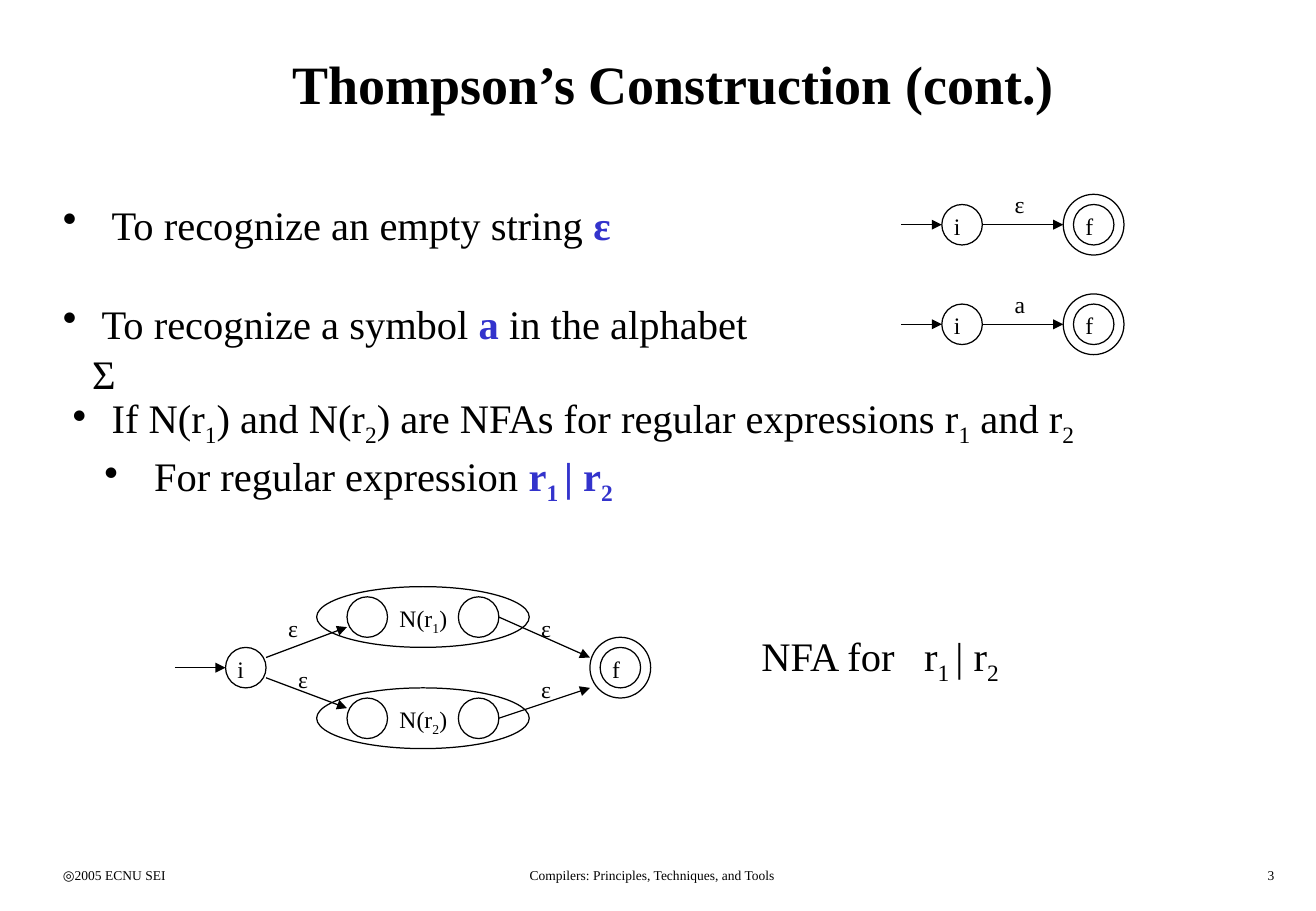
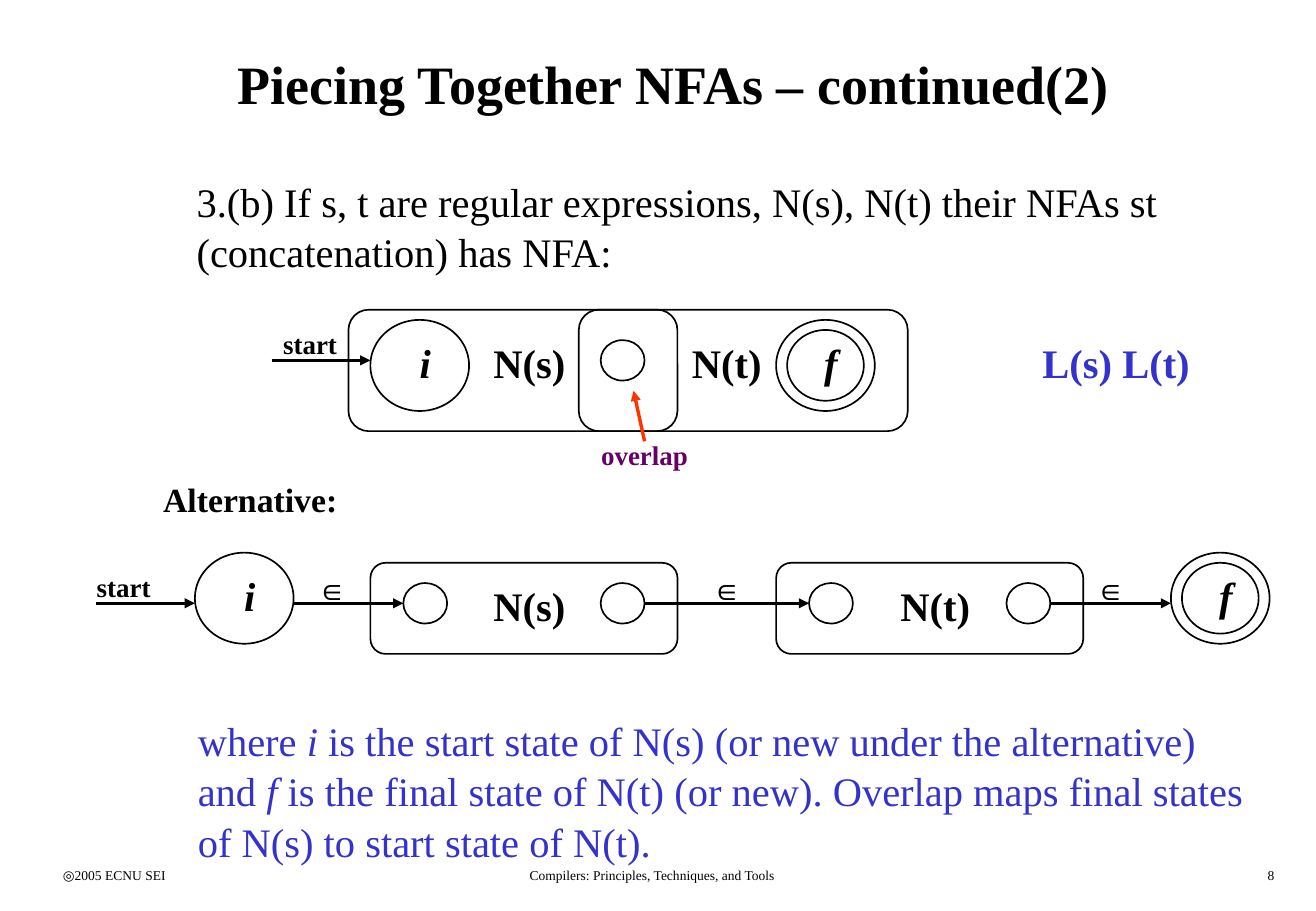
from dataclasses import dataclass

from lxml import etree
from pptx import Presentation
from pptx import util as u
from pptx.dml.color import RGBColor
from pptx.enum import shapes, text
from pptx.oxml import ns

BLACK = RGBColor(0, 0, 0)
BLUE = RGBColor(0x33, 0x33, 0xCC)
RED = RGBColor(0xFF, 0x33, 0x00)
PURPLE = RGBColor(0x66, 0x00, 0x66)
FONT = "Times New Roman"
LEFT, CENTER, RIGHT = text.PP_ALIGN.LEFT, text.PP_ALIGN.CENTER, text.PP_ALIGN.RIGHT
OVAL = shapes.MSO_SHAPE.OVAL
ROUNDED = shapes.MSO_SHAPE.ROUNDED_RECTANGLE
WIDTH, HEIGHT = 130 / 12, 7.5

FOOTER = [
    ((0.42, 7.08, 2.26, 0.25), "◎2005 ECNU SEI", LEFT),
    ((3.34, 7.08, 4.06, 0.25), "Compilers: Principles, Techniques, and Tools", CENTER),
]
NUMBER_BOX = (8.33, 7.08, 2.26, 0.25)
TITLE_BOX = (0.42, 0.17, 10.25, 1)

UNION = [("r", ""), ("1 ", "_"), ("| r", ""), ("2", "_")]
BASIC_RULES = [
    [("To recognize an empty string ", ""), ("ε", "bk")],
    [(" To recognize a symbol", ""), (" a", "bk"), (" in the alphabet Σ", "")],
]
UNION_RULES = [
    [("If N(r", ""), ("1", "_"), (") and N(r", ""), ("2", "_"),
     (") are NFAs for regular expressions r", ""), ("1", "_"), (" and r", ""), ("2", "_")],
    [("For regular expression ", "")] + [(part, style + "bk") for part, style in UNION],
]
BASIC_NFAS = [("ε", 1.6), ("a", 2.42)]
UNION_ARROWS = [
    ((0, 8), (5, 8)), ((9, 7), (17, 4)), ((9, 9), (17, 12)),
    ((32, 3), (41, 7)), ((32, 13), (41, 10)),
]
UNION_EPSILONS = [(10, 2), (35, 2), (35, 8), (11, 7)]

CONCAT_RULE = ("3.(b) If s, t are regular expressions, N(s), N(t) their NFAs st "
               "(concatenation) has NFA:")
CONCAT_NOTE = [[
    ("where ", ""), ("i", "i"),
    (" is the start state of N(s) (or new under the alternative) and ", ""), ("f", "i"),
    (" is the final state of N(t) (or new). Overlap maps final states of N(s) "
     "to start state of N(t).", ""),
]]
OVERLAP_PARTS = [("N(s)", 31, 42), ("N(t)", 52, 60)]
CHAIN_PARTS = [("N(s)", 33), ("N(t)", 70)]
CHAIN_ARROWS = [(8, 17), (26, 36), (58, 73), (95, 106)]
CHAIN_EPSILONS = [26, 62, 97]


@dataclass
class Grid:
    left: float
    top: float
    column: float = WIDTH / 130
    row: float = HEIGHT / 90

    def point(self, x, y):
        return self.left + x * self.column, self.top + y * self.row

    def box(self, x, y, width, height):
        return (*self.point(x, y), width * self.column, height * self.row)


def inches(values):
    return [u.Inches(value) for value in values]


def write(page, box, content, size=24, color=BLACK, style="", align=LEFT,
          anchor=text.MSO_ANCHOR.TOP, indents=(), gap=0, tab=None):
    frame = page.shapes.add_textbox(*inches(box)).text_frame
    frame.word_wrap = True
    frame.vertical_anchor = anchor
    paragraphs = [[(content, "")]] if isinstance(content, str) else content
    for index, spans in enumerate(paragraphs):
        para = frame.paragraphs[0] if index == 0 else frame.add_paragraph()
        properties = para._p.get_or_add_pPr()
        if indents:
            margin, hanging = indents[index]
            properties.set("marL", str(u.Inches(margin)))
            properties.set("indent", str(-u.Inches(hanging)))
            etree.SubElement(properties, ns.qn("a:buChar"), char="•")
        if tab:
            stops = etree.SubElement(properties, ns.qn("a:tabLst"))
            etree.SubElement(stops, ns.qn("a:tab"), pos=str(u.Inches(tab)), algn="l")
        para.alignment = align
        para.line_spacing = 1.04
        if index and gap:
            para.space_before = u.Pt(gap)
        for words, own_style in spans:
            flags = style + own_style
            span = para.add_run()
            span.text = words
            font = span.font
            font.name, font.size = FONT, u.Pt(size)
            font.bold, font.italic = "b" in flags, "i" in flags
            font.color.rgb = BLUE if "k" in flags else color
            if "_" in flags:
                span._r.get_or_add_rPr().set("baseline", "-25000")


def outline(page, box, kind=OVAL, weight=0.75):
    shape = page.shapes.add_shape(kind, *inches(box))
    shape.shadow.inherit = False
    shape.fill.background()
    shape.line.color.rgb = BLACK
    shape.line.width = u.Pt(weight)


def arrow(page, start, end, weight=0.75, color=BLACK):
    line = page.shapes.add_connector(
        shapes.MSO_CONNECTOR.STRAIGHT, *inches(start), *inches(end))
    line.line.color.rgb = color
    line.line.width = u.Pt(weight)
    etree.SubElement(line.line._get_or_add_ln(), ns.qn("a:tailEnd"), type="triangle")
    etree.SubElement(line._element.spPr, ns.qn("a:effectLst"))


def add_page(deck, title, number):
    page = deck.slides.add_slide(deck.slide_layouts[6])
    for box, words, align in FOOTER + [(NUMBER_BOX, number, RIGHT)]:
        write(page, box, words, size=8, align=align)
    write(page, TITLE_BOX, title, size=32, style="b", align=CENTER,
          anchor=text.MSO_ANCHOR.MIDDLE)
    return page


def small_state(page, grid, x, y, name="", final=False):
    outline(page, grid.box(x, y, 4, 4))
    if final:
        outline(page, grid.box(x - 1, y - 1, 6, 6))
    if name:
        write(page, grid.box(x, y, 4, 4), name, size=14)


def large_state(page, grid, x, y, name, final=False):
    outline(page, grid.box(x, y, 9, 9), weight=1)
    if final:
        outline(page, grid.box(x + 1, y + 1, 7, 7), weight=1)
    write(page, grid.box(x + 2, y + 1, 6, 6), name, style="bi", align=CENTER)


def build_thompson(deck):
    page = add_page(deck, "Thompson’s Construction (cont.)", "3")
    write(page, (0.42, 1.58, 6.02, 1.7), BASIC_RULES,
          indents=[(0.4, 0.4), (0.24, 0.24)], gap=28.8)
    write(page, (0.5, 3.17, 8.49, 0.9), UNION_RULES,
          indents=[(0.32, 0.32), (0.67, 0.41)])
    for symbol, top in BASIC_NFAS:
        grid = Grid(7.42, top)
        small_state(page, grid, 4, 1, "i")
        small_state(page, grid, 17, 1, "f", final=True)
        for start, end in [(0, 4), (8, 16)]:
            arrow(page, grid.point(start, 3), grid.point(end, 3))
        write(page, grid.box(10, -1.1, 4, 4), symbol, size=14)

    grid = Grid(1.44, 4.83)
    small_state(page, grid, 5, 6, "i")
    small_state(page, grid, 42, 6, "f", final=True)
    for index, top in [("1", 0), ("2", 10)]:
        outline(page, grid.box(14, top, 21, 6))
        for x in (17, 28):
            small_state(page, grid, x, top + 1)
        write(page, grid.box(21, top + 1, 8, 4),
              [[("N(r", ""), (index, "_"), (")", "")]], size=14)
    for start, end in UNION_ARROWS:
        arrow(page, grid.point(*start), grid.point(*end))
    for x, y in UNION_EPSILONS:
        write(page, grid.box(x, y, 4, 4), "ε", size=14)
    write(page, (6.17, 5.13, 2.6, 0.5), [[("NFA for\t", "")] + UNION], tab=1.34)


def build_concatenation(deck):
    page = add_page(deck, "Piecing Together NFAs – continued(2)", "8")
    grid = Grid(0.07, 0.05, column=WIDTH / 120)
    write(page, (1.52, 1.39, 9.03, 0.9), CONCAT_RULE)

    large_state(page, grid, 33, 31, "i")
    large_state(page, grid, 70, 31, "f", final=True)
    for name, left, label in OVERLAP_PARTS:
        outline(page, grid.box(left, 30, 30, 12), ROUNDED, 1)
        write(page, grid.box(label, 32, 11, 6), name, style="b", align=CENTER)
    outline(page, grid.box(54, 33, 4, 4), weight=1)
    arrow(page, grid.point(24, 35), grid.point(33, 35), 2)
    arrow(page, grid.point(58, 43), grid.point(57, 38), 2, RED)
    write(page, grid.box(89, 32, 24, 6), "L(s) L(t)", color=BLUE, style="b", align=CENTER)
    write(page, grid.box(49, 42, 18, 4), "overlap", size=16, color=PURPLE,
          style="b", align=CENTER)
    write(page, grid.box(13, 46, 27, 5), "Alternative:", size=20, style="b")

    large_state(page, grid, 17, 54, "i")
    large_state(page, grid, 106, 54, "f", final=True)
    for name, left in CHAIN_PARTS:
        outline(page, grid.box(left, 55, 28, 9), ROUNDED, 1)
        for x in (left + 3, left + 21):
            outline(page, grid.box(x, 57, 4, 4), weight=1)
        write(page, grid.box(left + 9, 56, 11, 6), name, style="b", align=CENTER)
    for start, end in CHAIN_ARROWS:
        arrow(page, grid.point(start, 59), grid.point(end, 59), 2)
    for x in CHAIN_EPSILONS:
        write(page, grid.box(x, 55, 7, 5), "∈", size=18, style="b", align=CENTER)
    for x, y in [(23, 31), (6, 55)]:
        write(page, grid.box(x, y, 9, 4), "start", size=16, style="b", align=CENTER)
    write(page, (1.53, 5.83, 8.94, 1.3), CONCAT_NOTE, color=BLUE)


def main():
    deck = Presentation()
    deck.slide_width, deck.slide_height = inches((WIDTH, HEIGHT))
    build_thompson(deck)
    build_concatenation(deck)
    deck.save("out.pptx")


if __name__ == "__main__":
    main()
